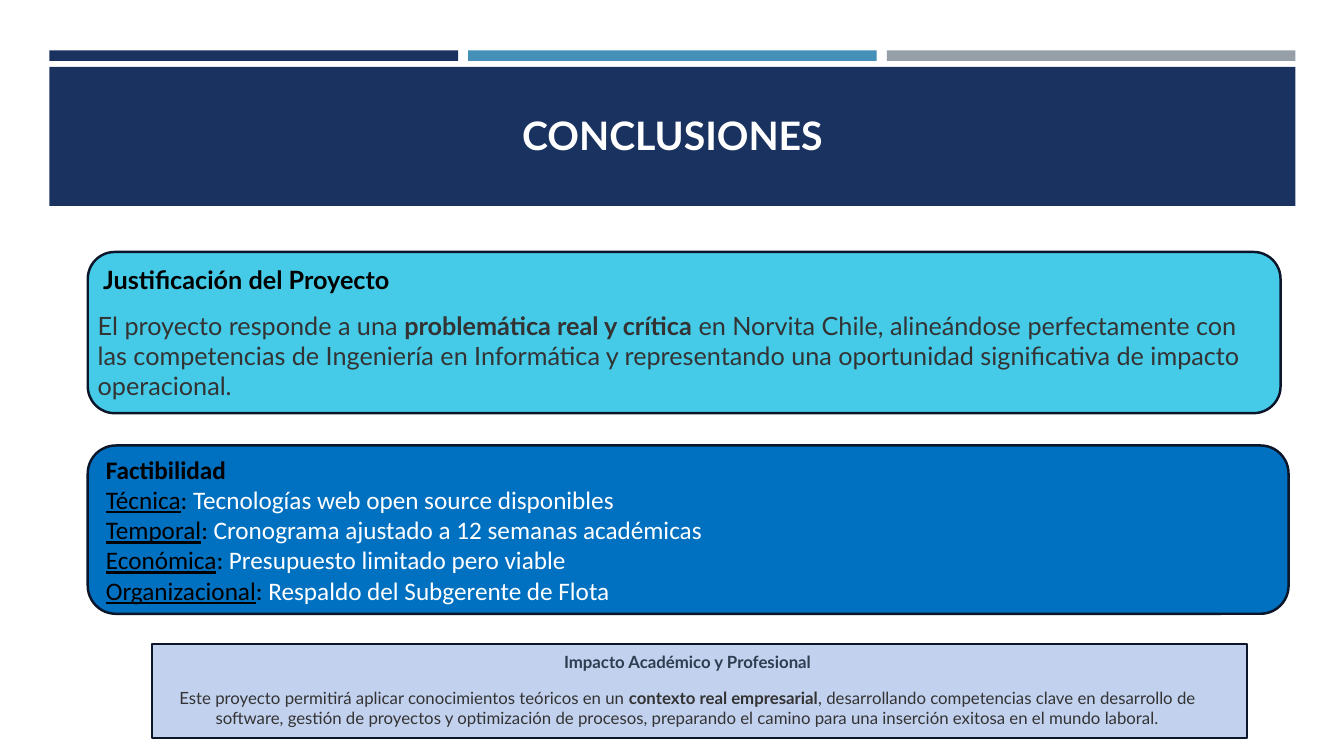
import pptx
import pptx.util
import pptx.dml.color
import pptx.enum.shapes
import pptx.enum.text

THEME = {
    "navy": "1A3260", "blue": "4590B8", "gray": "969FA7", "outline": "0B162A",
    "cyan": "45CBE8", "strong_blue": "0070C0", "pale": "C2D1EE",
    "white": "FFFFFF", "black": "000000", "body": "333333", "slate": "2C3E50",
    "title_size": 28, "text_size": 18, "small_size": 12,
    "title_font": "Lato", "list_font": "Calibri",
    "line_width": 1.75, "heading_gap": 11.2,
}
RECTANGLE = pptx.enum.shapes.MSO_SHAPE.RECTANGLE
ROUNDED = pptx.enum.shapes.MSO_SHAPE.ROUNDED_RECTANGLE
CENTER = pptx.enum.text.PP_ALIGN.CENTER
LEFT = pptx.enum.text.PP_ALIGN.LEFT
MIDDLE = pptx.enum.text.MSO_ANCHOR.MIDDLE
TOP = pptx.enum.text.MSO_ANCHOR.TOP

presentation = pptx.Presentation()
presentation.slide_width = pptx.util.Inches(13.33)
presentation.slide_height = pptx.util.Inches(7.5)
slide = presentation.slides.add_slide(presentation.slide_layouts[6])
column = presentation.slide_width / 100
row = presentation.slide_height / 100


def add_panel(kind, left, top, width, height, fill, outlined):
    shape = slide.shapes.add_shape(kind, round(left * column), round(top * row),
                                   round(width * column), round(height * row))
    shape.shadow.inherit = False
    shape.fill.solid()
    shape.fill.fore_color.rgb = pptx.dml.color.RGBColor.from_string(THEME[fill])
    if outlined:
        shape.line.color.rgb = pptx.dml.color.RGBColor.from_string(THEME["outline"])
        shape.line.width = pptx.util.Pt(THEME["line_width"])
    else:
        shape.line.fill.background()
    return shape


def write_text(shape, paragraphs, font, size, alignment, anchor, heading_gap):
    frame = shape.text_frame
    frame.word_wrap = True
    frame.vertical_anchor = anchor
    for index, runs in enumerate(paragraphs):
        paragraph = frame.paragraphs[0] if index == 0 else frame.add_paragraph()
        paragraph.alignment = alignment
        if index == 0:
            paragraph.space_after = pptx.util.Pt(heading_gap)
        for text, color, bold, underline in runs:
            run = paragraph.add_run()
            run.text = text
            run.font.name = THEME[font]
            run.font.size = pptx.util.Pt(THEME[size])
            run.font.bold = bold
            run.font.underline = underline
            run.font.color.rgb = pptx.dml.color.RGBColor.from_string(THEME[color])


band_left, band_width, bar_gap = 3.68, 92.7, 0.75
bar_width = (band_width - 2 * bar_gap) / 3
for index, color in enumerate(["navy", "blue", "gray"]):
    add_panel(RECTANGLE, band_left + index * (bar_width + bar_gap), 6.67, bar_width, 1.4, color, False)
add_panel(RECTANGLE, band_left, 8.85, band_width, 18.4, "navy", False)
add_panel(RECTANGLE, 11.33, 85.2, 81.47, 12.4, "pale", True)
add_panel(ROUNDED, 6.53, 33.33, 88.75, 21.33, "cyan", True)
feasibility = add_panel(ROUNDED, 6.53, 58.93, 89.35, 22.27, "strong_blue", True)

feasibility_lines = [[("Factibilidad", "black", True, False)]]
for label, detail in [
    ("Técnica", "Tecnologías web open source disponibles"),
    ("Temporal", "Cronograma ajustado a 12 semanas académicas"),
    ("Económica", "Presupuesto limitado pero viable"),
    ("Organizacional", "Respaldo del Subgerente de Flota"),
]:
    feasibility_lines.append([(label, "black", False, True), (": ", "black", False, False),
                              (detail, "white", False, False)])
write_text(feasibility, feasibility_lines, "list_font", "text_size", LEFT, MIDDLE, 0)

title = [[("CONCLUSIONES", "white", True, False)]]
justification = [
    [(" ", "black", True, False), ("Justificación del Proyecto", "black", True, False)],
    [("El proyecto responde a una ", "body", False, False),
     ("problemática real y crítica", "body", True, False),
     (" en Norvita Chile, alineándose perfectamente con las competencias de Ingeniería en "
      "Informática y representando una oportunidad significativa de impacto operacional.",
      "body", False, False)],
]
impact = [
    [("Impacto Académico y Profesional", "slate", True, False)],
    [("Este proyecto permitirá aplicar conocimientos teóricos en un ", "body", False, False),
     ("contexto real empresarial", "body", True, False),
     (", desarrollando competencias clave en desarrollo de software, gestión de proyectos y "
      "optimización de procesos, preparando el camino para una inserción exitosa en el mundo laboral.",
      "body", False, False)],
]
for left, top, width, height, paragraphs, size, alignment, anchor, gap in [
    (4.8, 10.67, 90.47, 14.4, title, "title_size", CENTER, MIDDLE, 0),
    (6.53, 34.27, 88.75, 19.6, justification, "text_size", LEFT, TOP, THEME["heading_gap"]),
    (10.43, 85.6, 81.47, 11.47, impact, "small_size", CENTER, TOP, THEME["heading_gap"]),
]:
    box = slide.shapes.add_textbox(round(left * column), round(top * row),
                                   round(width * column), round(height * row))
    write_text(box, paragraphs, "title_font", size, alignment, anchor, gap)

presentation.save("out.pptx")
